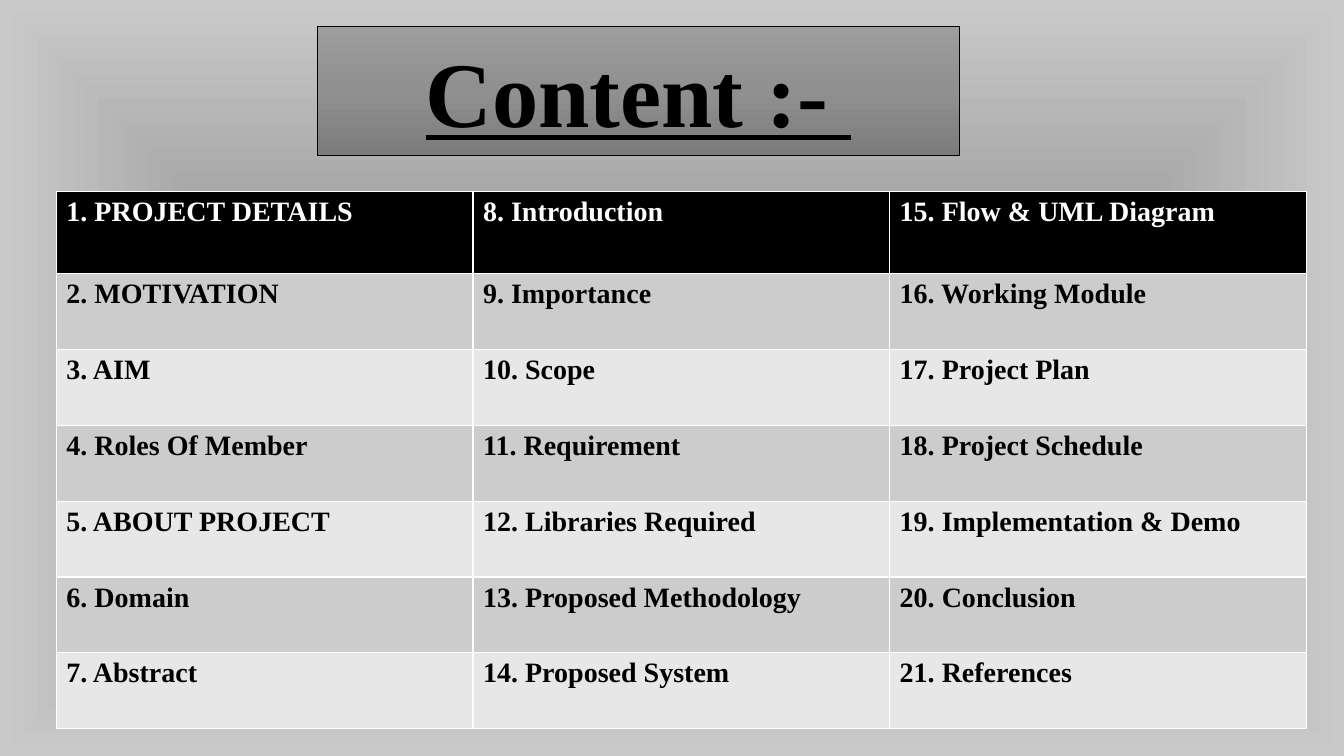
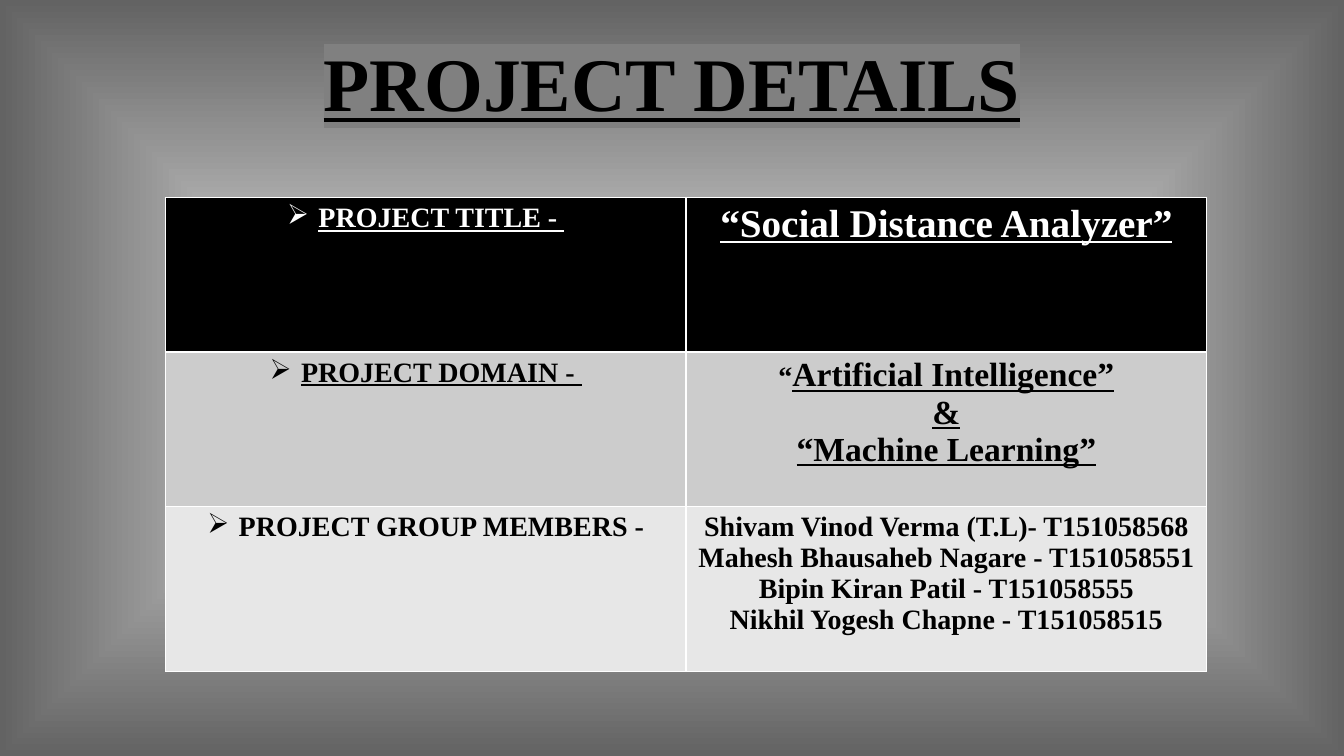
import dataclasses

import pptx
import pptx.dml.color
import pptx.enum.text
import pptx.oxml
import pptx.oxml.ns
import pptx.util

Cm = pptx.util.Cm
Pt = pptx.util.Pt
qn = pptx.oxml.ns.qn
CENTER = pptx.enum.text.PP_ALIGN.CENTER
LEFT = pptx.enum.text.PP_ALIGN.LEFT


@dataclasses.dataclass(frozen=True)
class Theme:
    font: str = "Times New Roman"
    ink: str = "000000"
    paper: str = "FFFFFF"
    highlight: str = "808080"
    bands: tuple = ("E7E7E7", "CCCCCC")
    light_backdrop: tuple = ((0, "6F6F6F"), (48, "A8A8A8"), (100, "C9C9C9"))
    dark_backdrop: tuple = ((0, "DBDBDB"), (46, "AAAAAA"), (100, "636363"))
    title_panel: tuple = ((0, "9D9D9D"), (50, "909090"), (100, "7C7C7C"))
    from_center: str = ('<a:path path="shape"><a:fillToRect l="50000" t="50000" '
                        'r="50000" b="50000"/></a:path>')
    downward: str = '<a:lin ang="5400000" scaled="0"/>'
    content_title: int = 66
    details_title: int = 54
    project_name: int = 28
    domain: int = 24
    body: int = 20


theme = Theme()
NS = pptx.oxml.ns.nsdecls("a")
rgb = pptx.dml.color.RGBColor.from_string


def set_gradient(owner, stops, direction):
    """Replace the first solid fill inside owner with a gradient."""
    stop_xml = "".join(f'<a:gs pos="{pos * 1000}"><a:srgbClr val="{color}"/></a:gs>'
                       for pos, color in stops)
    solid = next(owner.iter(qn("a:solidFill")))
    solid.getparent().replace(solid, pptx.oxml.parse_xml(
        f'<a:gradFill {NS} rotWithShape="1"><a:gsLst>{stop_xml}</a:gsLst>'
        f'{direction}</a:gradFill>'))


def add_text(paragraph, text, size, color=theme.ink, underline=False, align=CENTER):
    """Add one bold run in the deck's typeface."""
    paragraph.alignment = align
    run = paragraph.add_run()
    run.text = text
    font_format = {"name": theme.font, "size": Pt(size), "bold": True, "underline": underline}
    for attribute, value in font_format.items():
        setattr(run.font, attribute, value)
    run.font.color.rgb = rgb(color)
    return run


deck = pptx.Presentation()
deck.slide_width, deck.slide_height = Cm(33.87), Cm(19.05)

# Slides with their backdrop, title and table
layouts = [
    {"backdrop": theme.light_backdrop, "title": "Content :- ",
     "title_size": theme.content_title, "title_box": (8, 0.66, 16.18, 3.25),
     "table_at": (1.42, 4.82), "columns": [10.5] * 3, "rows": [2.08] + [1.91] * 6},
    {"backdrop": theme.dark_backdrop, "title": "PROJECT DETAILS",
     "title_size": theme.details_title, "title_box": (2.33, 0.35, 29.21, 3.68),
     "table_at": (4.17, 4.98), "columns": [13.12] * 2, "rows": [3.89, 3.89, 4.17]},
]
titles, tables = [], []
for plan in layouts:
    slide = deck.slides.add_slide(deck.slide_layouts[5])
    slide.background.fill.solid()
    set_gradient(slide.element, plan["backdrop"], theme.from_center)

    title = slide.shapes.title
    title.left, title.top, title.width, title.height = map(Cm, plan["title_box"])
    frame_format = {"auto_size": pptx.enum.text.MSO_AUTO_SIZE.NONE, "word_wrap": True,
                    "vertical_anchor": pptx.enum.text.MSO_ANCHOR.MIDDLE}
    for attribute, value in frame_format.items():
        setattr(title.text_frame, attribute, value)
    add_text(title.text_frame.paragraphs[0], plan["title"], plan["title_size"], underline=True)
    titles.append(title)

    columns, rows = plan["columns"], plan["rows"]
    table = slide.shapes.add_table(
        len(rows), len(columns), *map(Cm, plan["table_at"]),
        Cm(sum(columns)), Cm(sum(rows))).table
    for column, width in zip(table.columns, columns):
        column.width = Cm(width)
    for index, (row, height) in enumerate(zip(table.rows, rows)):
        row.height = Cm(height)
        for cell in row.cells:
            cell.fill.solid()
            cell.fill.fore_color.rgb = rgb(theme.bands[index % 2] if index else theme.ink)
    tables.append(table)

content_title, details_title = titles
content_table, details_table = tables

# Content: title panel
content_title.fill.solid()
set_gradient(content_title.element.spPr, theme.title_panel, theme.downward)
content_title.line.color.rgb = rgb(theme.ink)
content_title.line.width = Pt(0.5)

# Content: topics numbered down each column
topics = [
    "PROJECT DETAILS", "MOTIVATION", "AIM", "Roles Of Member", "ABOUT PROJECT",
    "Domain", "Abstract",
    "Introduction", "Importance", "Scope", "Requirement", "Libraries Required",
    "Proposed Methodology", "Proposed System",
    "Flow & UML Diagram", "Working Module", "Project Plan", "Project Schedule",
    "Implementation & Demo", "Conclusion", "References",
]
for number, topic in enumerate(topics):
    column, row = divmod(number, len(content_table.rows))
    add_text(content_table.cell(row, column).text_frame.paragraphs[0],
             f"{number + 1}. {topic}", theme.body,
             color=theme.ink if row else theme.paper, align=LEFT)

# Project details: highlighted title
details_title.text_frame.paragraphs[0].line_spacing = 0.9
title_run = details_title.text_frame.paragraphs[0].runs[0]
title_run.font._element.find(qn("a:latin")).addprevious(pptx.oxml.parse_xml(
    f'<a:highlight {NS}><a:srgbClr val="{theme.highlight}"/></a:highlight>'))

# Project details: label, its underline, value size, value underline, value lines
details = [
    ("PROJECT TITLE - ", True, theme.project_name, True, ["“Social Distance Analyzer”"]),
    ("PROJECT DOMAIN - ", True, theme.domain, True,
     ["Artificial Intelligence”", "&", "“Machine Learning”"]),
    ("PROJECT GROUP MEMBERS -", False, theme.body, False,
     ["Shivam Vinod Verma (T.L)- T151058568", "Mahesh Bhausaheb Nagare - T151058551",
      "Bipin Kiran Patil - T151058555", "Nikhil Yogesh Chapne - T151058515"]),
]
for row, (label, label_underline, size, underline, lines) in enumerate(details):
    color = theme.ink if row else theme.paper
    label_cell, value_cell = details_table.rows[row].cells

    label_paragraph = label_cell.text_frame.paragraphs[0]
    properties = label_paragraph._p.get_or_add_pPr()
    properties.set("marL", str(Cm(0.79)))
    properties.set("indent", str(-Cm(0.79)))
    for bullet in (f'<a:buClr {NS}><a:srgbClr val="{color}"/></a:buClr>',
                   f'<a:buChar {NS} char="➢"/>'):
        properties.append(pptx.oxml.parse_xml(bullet))
    add_text(label_paragraph, label, theme.body, color, label_underline)

    for index, line in enumerate(lines):
        frame = value_cell.text_frame
        paragraph = frame.add_paragraph() if index else frame.paragraphs[0]
        if line.startswith("Artificial"):
            add_text(paragraph, "“", theme.body, color)
        add_text(paragraph, line, size, color, underline)

deck.save("out.pptx")
